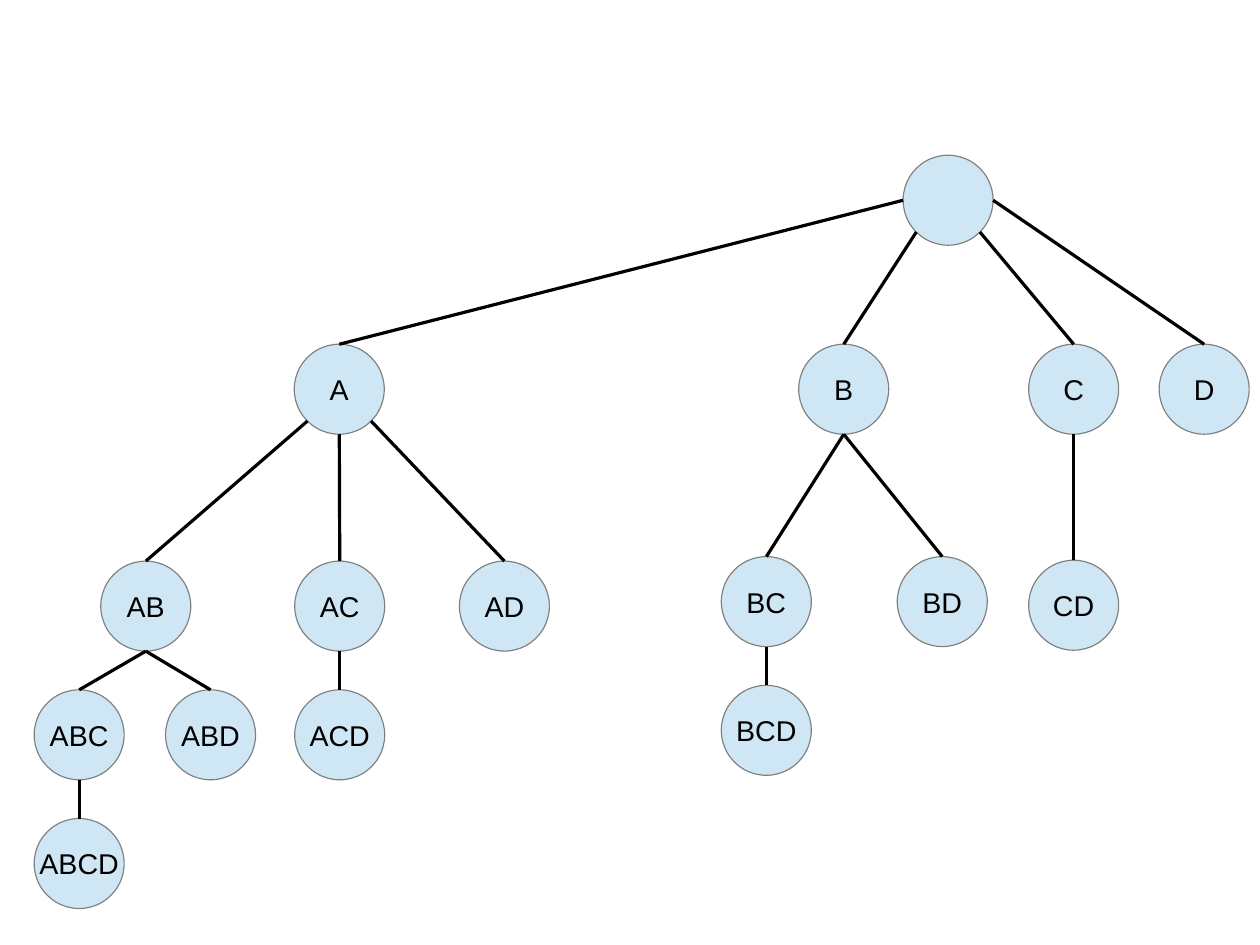
import math

from lxml import etree
from pptx import Presentation
from pptx import util as u
from pptx.dml.color import RGBColor
from pptx.enum import shapes, text
from pptx.oxml.ns import qn

PALE_BLUE = RGBColor(0xCF, 0xE7, 0xF5)
GREY = RGBColor(0x80, 0x80, 0x80)
BLACK = RGBColor(0, 0, 0)

# Centimetres: circle size, tree rows and the drop to a child set close below
SIZE = 2
ROOT_ROW, SINGLE_ROW, A_ROW, B_ROW, C_ROW = 3.45, 7.65, 12.47, 12.37, 12.45
DROP = 2.86

# Left and top of each set; its parent is the set without the last letter
NODES = {
    "ABCD": (0.76, A_ROW + 2 * DROP),
    "ABC": (0.76, A_ROW + DROP),
    "ABD": (3.68, A_ROW + DROP),
    "AB": (2.24, A_ROW),
    "AC": (6.55, A_ROW),
    "ACD": (6.55, A_ROW + DROP),
    "AD": (10.21, A_ROW),
    "A": (6.54, SINGLE_ROW),
    "BCD": (16.03, B_ROW + DROP),
    "BD": (19.94, B_ROW),
    "BC": (16.03, B_ROW),
    "CD": (22.86, C_ROW),
    "B": (17.75, SINGLE_ROW),
    "C": (22.86, SINGLE_ROW),
    "D": (25.76, SINGLE_ROW),
    "": (20.07, ROOT_ROW),
}

# Ellipse sites run anticlockwise from the top in steps of 45 degrees
LEFT, LOWER_LEFT, BOTTOM, LOWER_RIGHT, RIGHT = range(2, 7)
PARENT_SITES = {"A": LEFT, "B": LOWER_LEFT, "C": LOWER_RIGHT, "D": RIGHT,
                "AB": LOWER_LEFT, "AD": LOWER_RIGHT}


def write(sp, label, font="Arial", size=18, color=BLACK):
    tf = sp.text_frame
    tf.word_wrap = False
    tf.vertical_anchor = text.MSO_ANCHOR.MIDDLE
    p = tf.paragraphs[0]
    p.alignment = text.PP_ALIGN.CENTER
    r = p.add_run()
    r.text = label
    r.font.name, r.font.size = font, u.Pt(size)
    r.font.color.rgb = color


class TreeSlide:
    def __init__(self, s, fill=PALE_BLUE, outline=GREY, edge=BLACK):
        self.s = s
        self.fill, self.outline, self.edge_color = fill, outline, edge

    def style_line(self, line, color):
        line.color.rgb = color
        line.width = u.Pt(0)

    def node(self, label, left, top):
        sp = self.s.shapes.add_shape(shapes.MSO_SHAPE.OVAL, u.Cm(left),
                                     u.Cm(top), u.Cm(SIZE), u.Cm(SIZE))
        sp.shadow.inherit = False
        sp.fill.solid()
        sp.fill.fore_color.rgb = self.fill
        self.style_line(sp.line, self.outline)
        if label:
            write(sp, label)
        return sp

    def edge(self, parent, child, site):
        c = self.s.shapes.add_connector(shapes.MSO_CONNECTOR.STRAIGHT,
                                        0, 0, 0, 0)
        c.begin_connect(parent, 0)
        c.end_connect(child, 0)
        # Move the start from the parent's top to the chosen site
        angle = math.radians(45 * site)
        radius = parent.width / 2
        c.begin_x = round(parent.left + radius * (1 - math.sin(angle)))
        c.begin_y = round(parent.top + radius * (1 - math.cos(angle)))
        c.element.find(".//" + qn("a:stCxn")).set("idx", str(site))
        self.style_line(c.line, self.edge_color)
        etree.SubElement(c.element.spPr, qn("a:effectLst"))


def main():
    prs = Presentation()
    prs.slide_width, prs.slide_height = u.Cm(28), u.Cm(21)
    tree = TreeSlide(prs.slides.add_slide(prs.slide_layouts[6]))

    # Circles
    nodes = {name: tree.node(name, *place) for name, place in NODES.items()}

    # Lines from each parent to its children
    for name in filter(None, nodes):
        tree.edge(nodes[name[:-1]], nodes[name],
                  PARENT_SITES.get(name, BOTTOM))

    prs.save("out.pptx")


if __name__ == "__main__":
    main()
